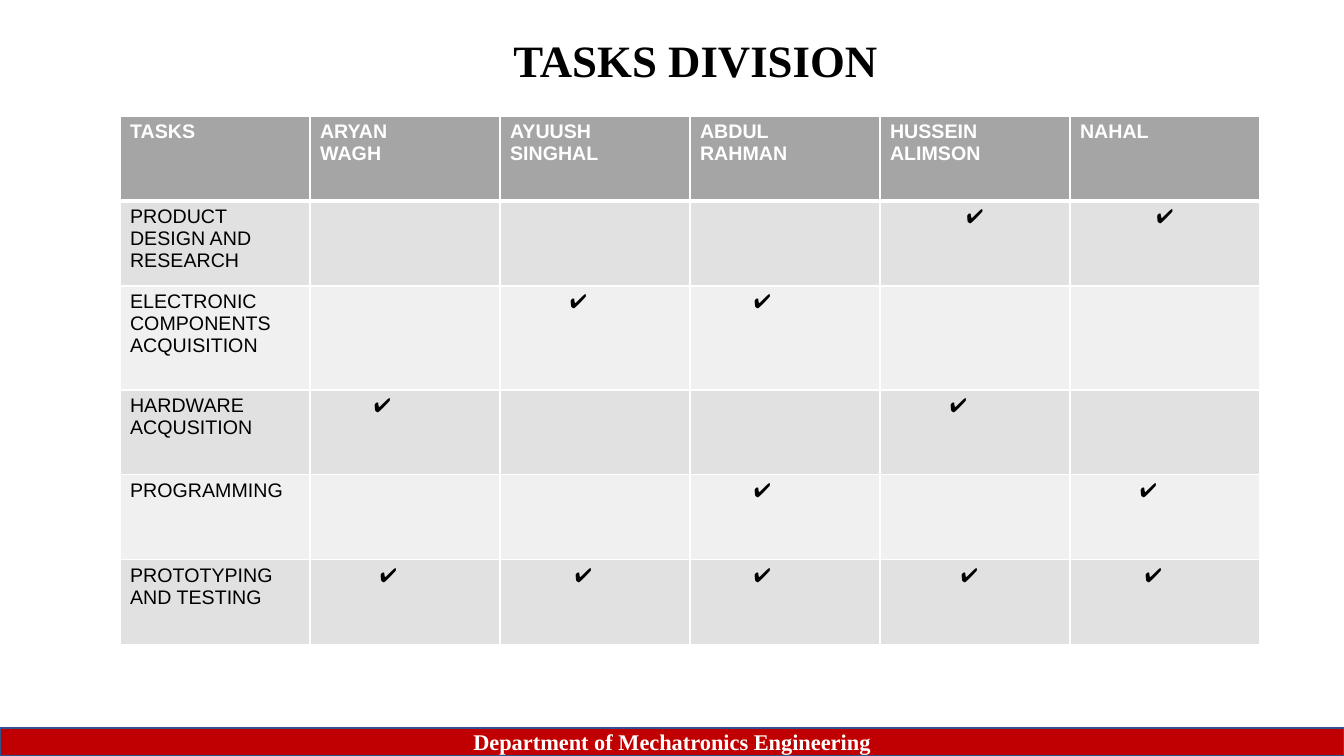
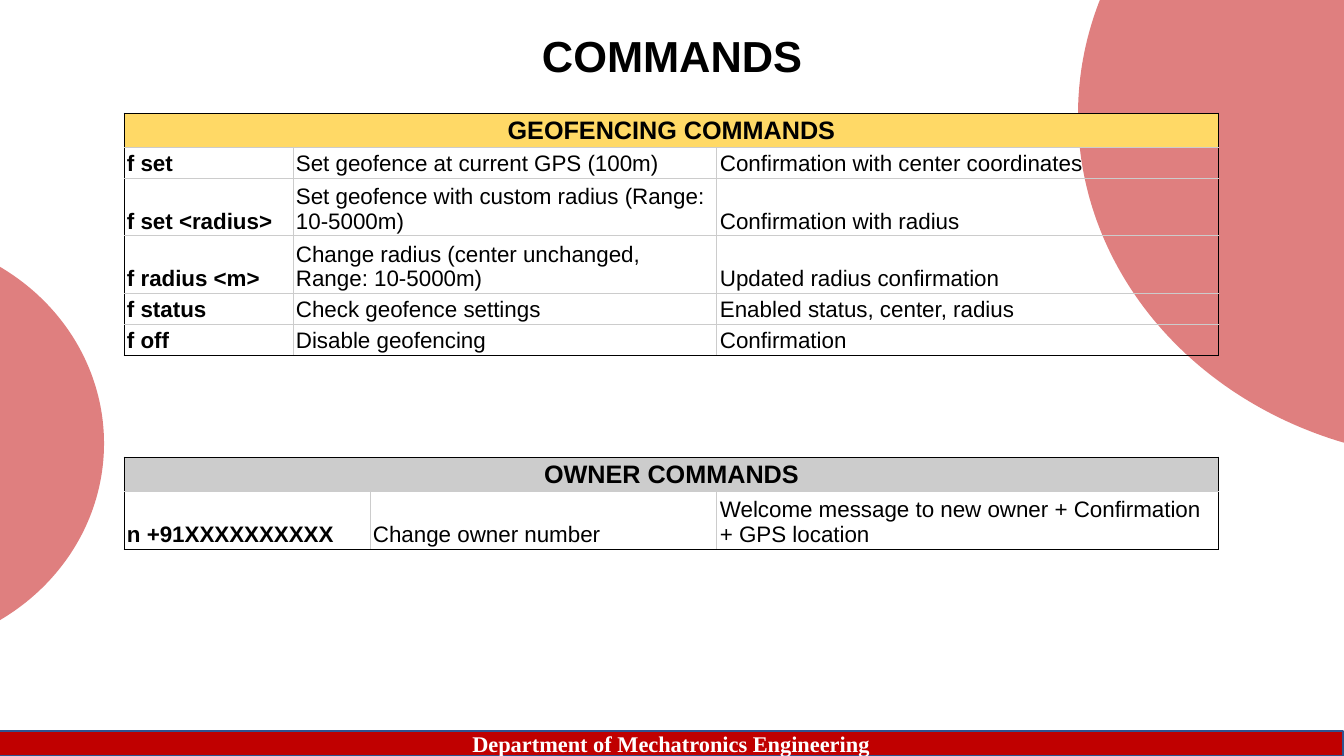
"""Build the task division and commands slides of a mechatronics project."""
import pptx
import pptx.dml.color
import pptx.enum.shapes
import pptx.enum.text
import pptx.oxml
import pptx.oxml.ns
import pptx.util

PX = 9071
RGB = pptx.dml.color.RGBColor
BLACK = RGB(0x00, 0x00, 0x00)
WHITE = RGB(0xFF, 0xFF, 0xFF)
RED = RGB(0xC0, 0x00, 0x00)
NAVY = RGB(0x31, 0x53, 0x8F)
HEADER_GREY = RGB(0xA5, 0xA5, 0xA5)
BANDS = [RGB(0xF0, 0xF0, 0xF0), RGB(0xE1, 0xE1, 0xE1)]
RULE_GREY = RGB(0xCC, 0xCC, 0xCC)
YELLOW = RGB(0xFF, 0xD9, 0x66)
SANS, SERIF = "Arial", "Times New Roman"
LEFT = pptx.enum.text.PP_ALIGN.LEFT
CENTER = pptx.enum.text.PP_ALIGN.CENTER
MIDDLE = pptx.enum.text.MSO_ANCHOR.MIDDLE
BOTTOM = pptx.enum.text.MSO_ANCHOR.BOTTOM
SHAPES = pptx.enum.shapes.MSO_SHAPE


def write(frame, text, size=14, font=SANS, color=BLACK, bold=False, align=LEFT, spacing=None):
    """Fill a text frame, one paragraph per line of text."""
    frame.word_wrap = True
    for i, line in enumerate(text.split("\n")):
        paragraph = frame.paragraphs[0] if i == 0 else frame.add_paragraph()
        paragraph.alignment = align
        paragraph.line_spacing = spacing
        run = paragraph.add_run()
        run.text = line
        run.font.size = pptx.util.Pt(size)
        run.font.name = font
        run.font.bold = bold
        run.font.color.rgb = color


def dress_cell(cell, edges, fill=None):
    """Set the (color, points) edges in the order left, right, top, bottom, then the fill."""
    properties = cell._tc.get_or_add_tcPr()
    for side, (color, points) in zip("LRTB", edges):
        properties.append(pptx.oxml.parse_xml(
            f'<a:ln{side} {pptx.oxml.ns.nsdecls("a")} w="{pptx.util.Pt(points)}">'
            f'<a:solidFill><a:srgbClr val="{color}"/></a:solidFill></a:ln{side}>'))
    if fill is None:
        cell.fill.background()
    else:
        cell.fill.solid()
        cell.fill.fore_color.rgb = fill


prs = pptx.Presentation()
prs.slide_width, prs.slide_height = 1344 * PX, 756 * PX
division = prs.slides.add_slide(prs.slide_layouts[6])
commands = prs.slides.add_slide(prs.slide_layouts[6])

for box in [(1078, -231, 773, 691), (-340, 235, 444, 417)]:
    circle = commands.shapes.add_shape(SHAPES.OVAL, *(v * PX for v in box))
    circle.shadow.inherit = False
    circle.fill.solid()
    circle.fill.fore_color.rgb = RED
    circle.line.fill.background()
    tint = circle.fill._xPr.find(".//" + pptx.oxml.ns.qn("a:srgbClr"))
    tint.append(pptx.oxml.parse_xml(f'<a:alpha {pptx.oxml.ns.nsdecls("a")} val="50000"/>'))

for slide, title, box, look, footer_box in [
    (division, "TASKS DIVISION", (494, 27, 403, 65),
     dict(size=32, font=SERIF), (0, 728, 1344, 28)),
    (commands, "COMMANDS", (452, 13, 440, 90),
     dict(size=31, spacing=0.9), (-1, 731, 1344, 25)),
]:
    heading = slide.shapes.add_textbox(*(v * PX for v in box))
    heading.text_frame.vertical_anchor = MIDDLE
    write(heading.text_frame, title, bold=True, align=CENTER, **look)

    footer = slide.shapes.add_shape(SHAPES.RECTANGLE, *(v * PX for v in footer_box))
    footer.shadow.inherit = False
    footer.fill.solid()
    footer.fill.fore_color.rgb = RED
    footer.line.color.rgb = NAVY
    footer.line.width = pptx.util.Pt(1)
    footer.text_frame.vertical_anchor = MIDDLE
    write(footer.text_frame, "Department of Mechatronics Engineering", size=16,
          font=SERIF, color=WHITE, bold=True, align=CENTER)

tables = []
for slide, left, top, widths, heights in [
    (division, 120, 116, [190] * 6, [85, 85, 104, 85, 85, 85]),
    (commands, 124, 113, [169, 424, 502], [32, 29, 54, 54, 29, 29]),
    (commands, 124, 457, [246, 347, 502], [32, 54]),
]:
    table = slide.shapes.add_table(len(heights), len(widths), left * PX, top * PX,
                                   sum(widths) * PX, sum(heights) * PX).table
    table.first_row = table.horz_banding = False
    for column, width in zip(table.columns, widths):
        column.width = width * PX
    for row, height in zip(table.rows, heights):
        row.height = height * PX
    tables.append(table)
task_table, geofence_table, owner_table = tables

members = ["TASKS", "ARYAN\nWAGH", "AYUUSH\nSINGHAL", "ABDUL\nRAHMAN", "HUSSEIN\nALIMSON", "NAHAL"]
tasks = ["PRODUCT\nDESIGN AND RESEARCH", "ELECTRONIC\nCOMPONENTS ACQUISITION",
         "HARDWARE\nACQUSITION", "PROGRAMMING", "PROTOTYPING\nAND TESTING"]
tick_indents = [
    {4: None, 5: None},
    {2: 60, 3: 54},
    {1: 54, 4: 60},
    {3: 54, 5: 60},
    {1: 60, 2: 65, 3: 54, 4: 71, 5: 65},
]
thin, thick = (WHITE, 1), (WHITE, 3)

for c, member in enumerate(members):
    cell = task_table.cell(0, c)
    dress_cell(cell, [thin, thin, thin, thick], HEADER_GREY)
    write(cell.text_frame, member, color=WHITE, bold=True)

for r, (task, indents) in enumerate(zip(tasks, tick_indents), start=1):
    for c in range(len(members)):
        cell = task_table.cell(r, c)
        dress_cell(cell, [thin, thin, thick if r == 1 else thin, thin], BANDS[r % 2])
        if c == 0:
            write(cell.text_frame, task)
        elif c in indents:
            indent = indents[c]
            if indent is not None:
                cell.margin_left = (10 + indent) * PX
            write(cell.text_frame, "✔️", align=CENTER if indent is None else LEFT)

outer, inner = (BLACK, 0.75), (RULE_GREY, 0.75)
for table, heading, heading_fill, rows in [
    (geofence_table, "GEOFENCING COMMANDS", YELLOW, [
        ("f set", "Set geofence at current GPS (100m)", "Confirmation with center coordinates"),
        ("f set <radius>", "Set geofence with custom radius (Range: 10-5000m)",
         "Confirmation with radius"),
        ("f radius <m>", "Change radius (center unchanged, Range: 10-5000m)",
         "Updated radius confirmation"),
        ("f status", "Check geofence settings", "Enabled status, center, radius"),
        ("f off", "Disable geofencing", "Confirmation"),
    ]),
    (owner_table, "OWNER COMMANDS", RGB(0xCC, 0xCC, 0xCC), [
        ("n +91XXXXXXXXXX", "Change owner number",
         "Welcome message to new owner + Confirmation + GPS location"),
    ]),
]:
    table.cell(0, 0).merge(table.cell(0, 2))
    for r, texts in enumerate([(heading, "", "")] + rows):
        is_heading = r == 0
        for c, text in enumerate(texts):
            cell = table.cell(r, c)
            on_edge = [is_heading or c == 0, is_heading or c == 2, is_heading, r == len(rows)]
            dress_cell(cell, [outer if edge else inner for edge in on_edge],
                       heading_fill if is_heading else None)
            cell.margin_left = cell.margin_right = 3 * PX
            cell.margin_top = cell.margin_bottom = 2 * PX
            cell.vertical_anchor = BOTTOM
            if text:
                write(cell.text_frame, text, size=18 if is_heading else 16, bold=c == 0,
                      align=CENTER if is_heading else LEFT)

prs.save("out.pptx")
